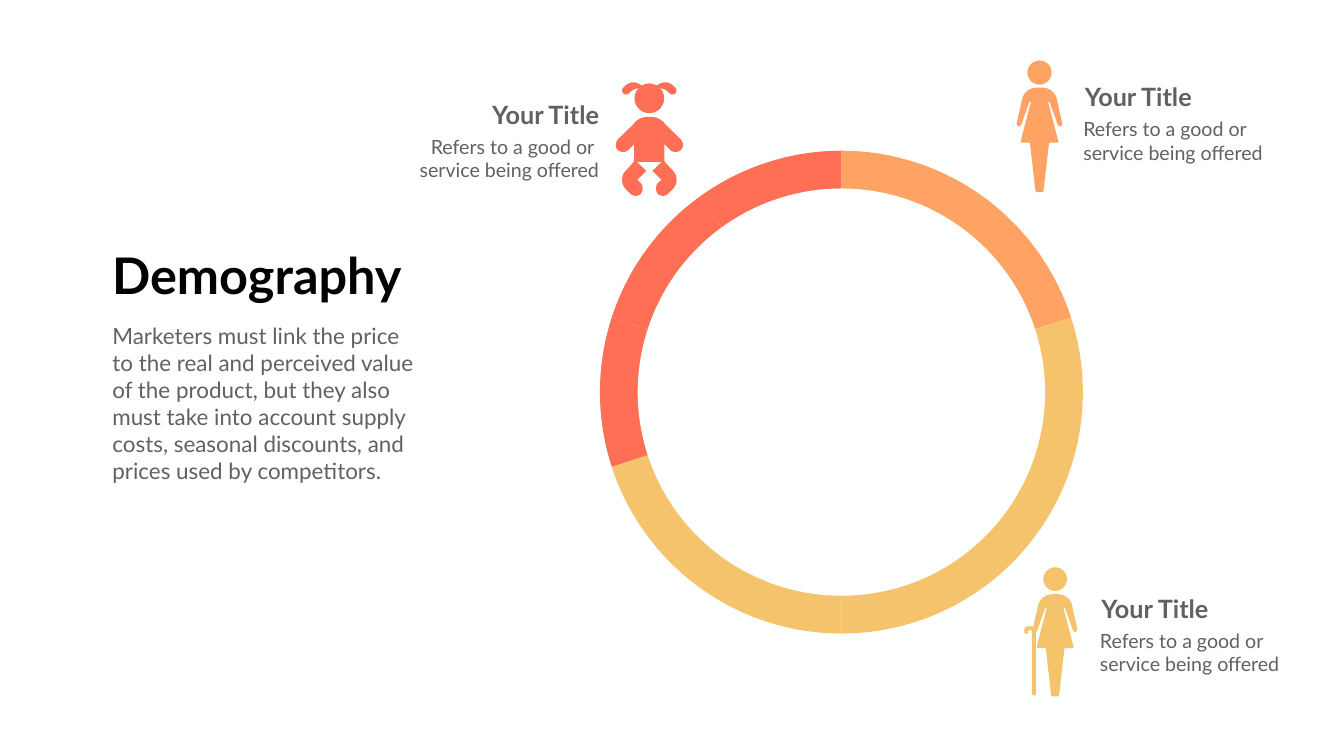
"""Build the Demography slide: a ten-part ring with three labelled figures."""
from math import cos, radians, sin

from pptx import Presentation
from pptx.dml.color import RGBColor
from pptx.enum.shapes import MSO_SHAPE as Shape
from pptx.enum.text import MSO_AUTO_SIZE as AutoSize, PP_ALIGN as Align
from pptx.util import Inches, Pt

RED, ORANGE, GOLD = "FF6F55", "FFA364", "F4C36B"
PAPER, GREY, BLACK = "FEFFFF", "616161", "000000"

HEADING = "Demography"
SUMMARY = (
    "Marketers must link the price to the real and perceived value of the product, "
    "but they also must take into account supply costs, seasonal discounts, and "
    "prices used by competitors."
)
LABEL_TITLE = "Your Title"
LABEL_LINES = ["Refers to a good or", "service being offered"]
LEFT_LABEL_LINES = ["Refers to a good or ", "service being offered"]
RING_CENTER, RING_RADIUS, HOLE_RADIUS = (16.69, 7.78), 4.79, 4.04
RING_COLORS = [ORANGE] * 2 + [GOLD] * 5 + [RED] * 3

TITLE_STYLE = {"size": Pt(72), "bold": True}
SUMMARY_STYLE = {"size": Pt(32), "bold": False}
LABEL_STYLE = {"size": Pt(36), "bold": True}
DETAIL_STYLE = {"size": Pt(28), "bold": False}

# Two numbers make a line; six make a cubic curve. Each half is mirrored about x = 0.
WOMAN_HALF = [
    (0, 0), (0.06, 0), (0.19, 0, 0.31, 0.09, 0.34, 0.21), (0.45, 0.7),
    (0.46, 0.73, 0.44, 0.75, 0.42, 0.76), (0.4, 0.77, 0.37, 0.76, 0.36, 0.73),
    (0.2, 0.28), (0.17, 0.28), (0.37, 1.05), (0.38, 1.07, 0.37, 1.09, 0.35, 1.09),
    (0.19, 1.09), (0.08, 2.04), (0.08, 2.06, 0.06, 2.07, 0.04, 2.07), (0, 2.07),
]
BABY_HALF = [
    (0, 0.66), (0.05, 0.66), (0.16, 0.66, 0.27, 0.73, 0.32, 0.81), (0.62, 1.1),
    (0.68, 1.17, 0.68, 1.26, 0.63, 1.31), (0.57, 1.37, 0.48, 1.37, 0.42, 1.32),
    (0.3, 1.2), (0.3, 1.55), (0, 1.55),
]
BABY_LEG = [
    (0.47, 1.73), (0.28, 1.52), (0.06, 1.73), (0.24, 1.91), (0.17, 1.97),
    (0.12, 2.03, 0.12, 2.13, 0.17, 2.19), (0.23, 2.24, 0.32, 2.24, 0.38, 2.18),
    (0.47, 2.09), (0.52, 2.03, 0.54, 1.97, 0.54, 1.91),
    (0.54, 1.84, 0.52, 1.78, 0.47, 1.73),
]
BABY_HAIR = [
    (0.1, 0.09), (0.1, 0.09, 0.3, -0.17, 0.52, 0.08),
    (0.55, 0.11, 0.54, 0.17, 0.51, 0.2), (0.48, 0.22, 0.43, 0.22, 0.4, 0.19),
    (0.35, 0.13, 0.26, 0.07, 0.1, 0.09),
]
CANE = [
    (0.16, 0), (0.06, 0), (0.03, 0, 0, 0.03, 0, 0.06), (0, 0.11),
    (0, 0.13, 0.02, 0.15, 0.04, 0.15), (0.06, 0.15, 0.07, 0.13, 0.07, 0.11),
    (0.07, 0.08), (0.15, 0.08), (0.15, 1.33), (0.15, 1.35, 0.17, 1.37, 0.19, 1.37),
    (0.21, 1.37, 0.23, 1.35, 0.23, 1.33), (0.23, 0.08), (0.23, 0.04, 0.2, 0, 0.16, 0),
]


def color(value):
    """Turn a hex string into a colour."""
    return RGBColor.from_string(value)


def paint(shape, fill):
    """Give a shape a flat fill without line or shadow."""
    shape.shadow.inherit = False
    shape.fill.solid()
    shape.fill.fore_color.rgb = color(fill)
    shape.line.fill.background()


def flatten(outline, steps=8):
    """Turn lines and cubic curves into a list of points."""
    points = []
    for part in outline:
        if len(part) == 2:
            points.append(part)
            continue
        knots = [points[-1], part[:2], part[2:4], part[4:]]
        for step in range(1, steps + 1):
            t = step / steps
            weights = [(1 - t) ** 3, 3 * t * (1 - t) ** 2, 3 * t * t * (1 - t), t ** 3]
            points.append(tuple(sum(w * k[axis] for w, k in zip(weights, knots))
                                for axis in (0, 1)))
    return points


def mirror(points):
    """Reflect points about x = 0, in reverse order."""
    return [(-x, y) for x, y in reversed(points)]


def add_outline(page, points, origin, fill, scale=1):
    """Draw a closed polygon placed from its origin."""
    placed = [(Inches(origin[0] + x * scale), Inches(origin[1] + y * scale))
              for x, y in points]
    builder = page.shapes.build_freeform(*placed[0])
    builder.add_line_segments(placed[1:], close=True)
    paint(builder.convert_to_shape(), fill)


def add_circle(page, center, radius, fill):
    """Draw a circle around its center."""
    box = [Inches(n) for n in (center[0] - radius, center[1] - radius, 2 * radius, 2 * radius)]
    paint(page.shapes.add_shape(Shape.OVAL, *box), fill)


def add_ring(page):
    """Draw equal wedges clockwise from the top, then the hole."""
    sweep = 360 // len(RING_COLORS)
    for index, fill in enumerate(RING_COLORS):
        angles = [radians(a) for a in range(index * sweep, (index + 1) * sweep + 1, 2)]
        arc = [(RING_RADIUS * sin(a), -RING_RADIUS * cos(a)) for a in angles]
        add_outline(page, [(0, 0)] + arc, RING_CENTER, fill)
    add_circle(page, RING_CENTER, HOLE_RADIUS, PAPER)


def add_woman(page, origin, fill, scale=1):
    """Draw a standing woman from the middle of her neckline."""
    half = flatten(WOMAN_HALF)
    add_circle(page, (origin[0], origin[1] - 0.3), 0.24 * scale, fill)
    add_outline(page, half + mirror(half), origin, fill, scale)


def add_baby(page, origin, fill):
    """Draw a baby girl from the top middle of her head."""
    half = flatten(BABY_HALF)
    for outline in (BABY_LEG, BABY_HAIR):
        side = flatten(outline)
        for points in (side, mirror(side)):
            add_outline(page, points, origin, fill)
    add_circle(page, (origin[0], origin[1] + 0.29), 0.295, fill)
    add_outline(page, half + mirror(half), origin, fill)


def add_text(page, at, lines, style, ink=GREY, align=Align.LEFT, wrap=True):
    """Add a text box with one paragraph per line."""
    frame = page.shapes.add_textbox(*[Inches(n) for n in at]).text_frame
    frame.word_wrap = wrap
    frame.auto_size = AutoSize.SHAPE_TO_FIT_TEXT
    for index, line in enumerate(lines):
        para = frame.paragraphs[0] if index == 0 else frame.add_paragraph()
        para.alignment = align
        span = para.add_run()
        span.text = line
        for name, value in {"name": "Lato", **style}.items():
            setattr(span.font, name, value)
        span.font.color.rgb = color(ink)


def add_label(page, x, y, lines, align=Align.LEFT):
    """Add a title and its detail, with x as the aligned edge."""
    title_width, detail_width = 2.61, 3.97
    right = align == Align.RIGHT
    title_left = x - title_width if right else x
    detail_left = x - detail_width if right else x - 0.03
    add_text(page, (title_left, y, title_width, 0.71), [LABEL_TITLE], LABEL_STYLE, align=align)
    add_text(page, (detail_left, y + 0.7, detail_width, 1.04), lines, DETAIL_STYLE, align=align)


def main():
    """Build and save the deck."""
    deck = Presentation()
    deck.slide_width, deck.slide_height = Inches(26.66), Inches(15)
    page = deck.slides.add_slide(deck.slide_layouts[6])
    page.background.fill.solid()
    page.background.fill.fore_color.rgb = color(PAPER)
    add_ring(page)
    add_baby(page, (12.88, 1.66), RED)
    add_woman(page, (20.62, 1.74), ORANGE)
    add_outline(page, flatten(CANE), (20.32, 12.43), GOLD)
    add_woman(page, (20.93, 11.79), GOLD, 0.98)
    add_text(page, (2.06, 4.8, 6.07, 1.31), [HEADING], TITLE_STYLE, BLACK, Align.CENTER, False)
    add_text(page, (2.13, 6.35, 6.22, 3.33), [SUMMARY], SUMMARY_STYLE)
    add_label(page, 11.98, 1.92, LEFT_LABEL_LINES, Align.RIGHT)
    add_label(page, 21.42, 1.57, LABEL_LINES)
    add_label(page, 21.75, 11.72, LABEL_LINES)
    deck.save("out.pptx")


if __name__ == "__main__":
    main()
